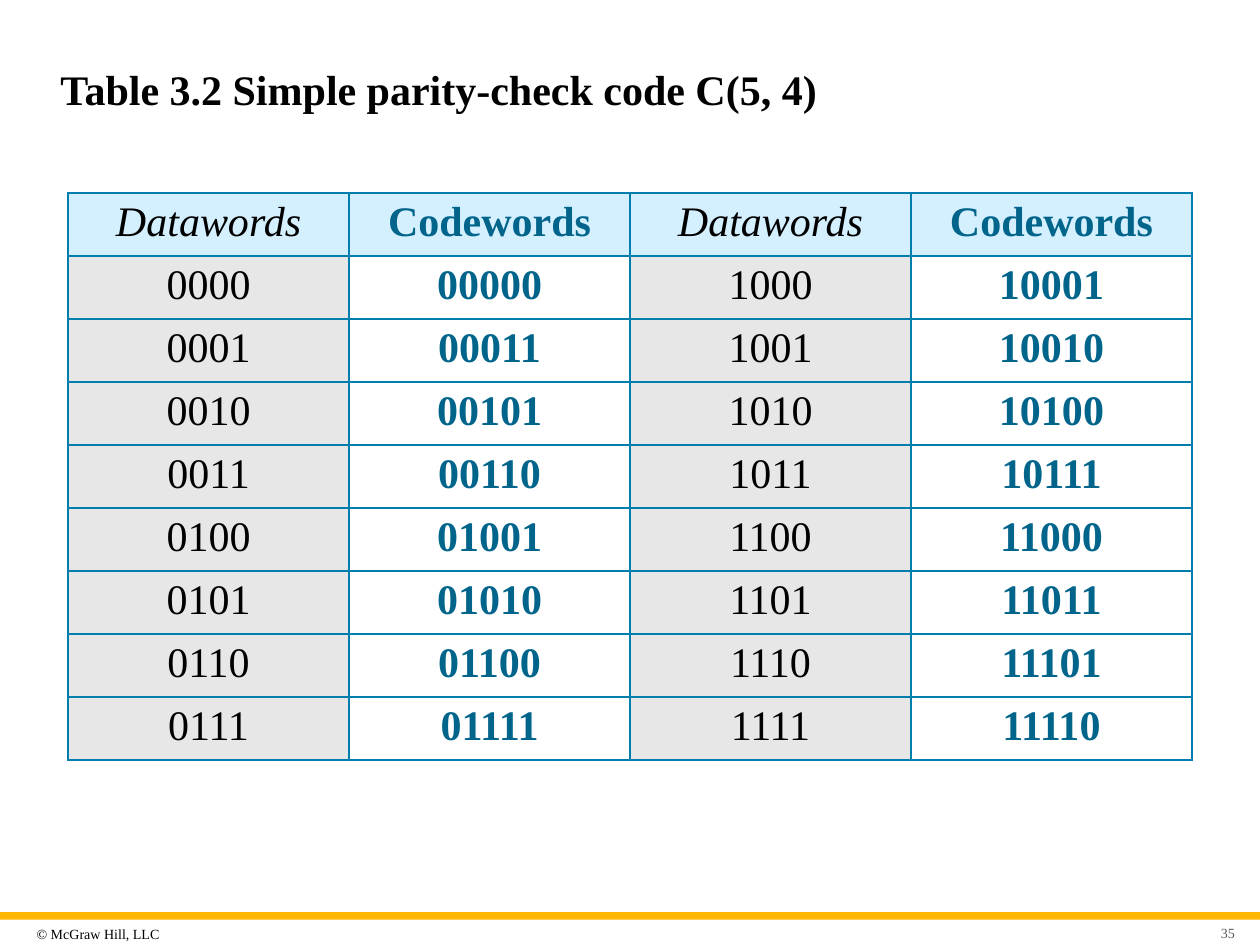
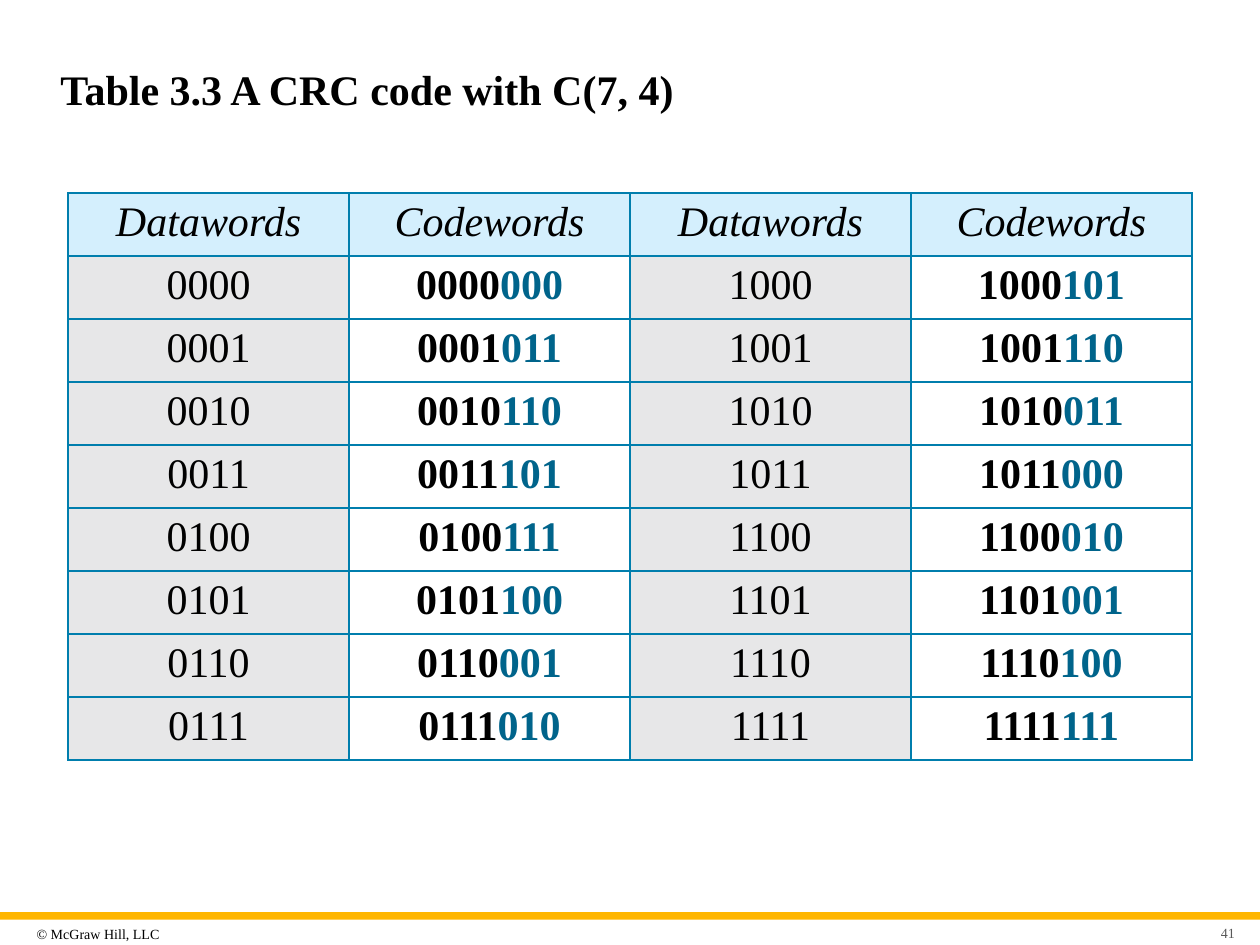
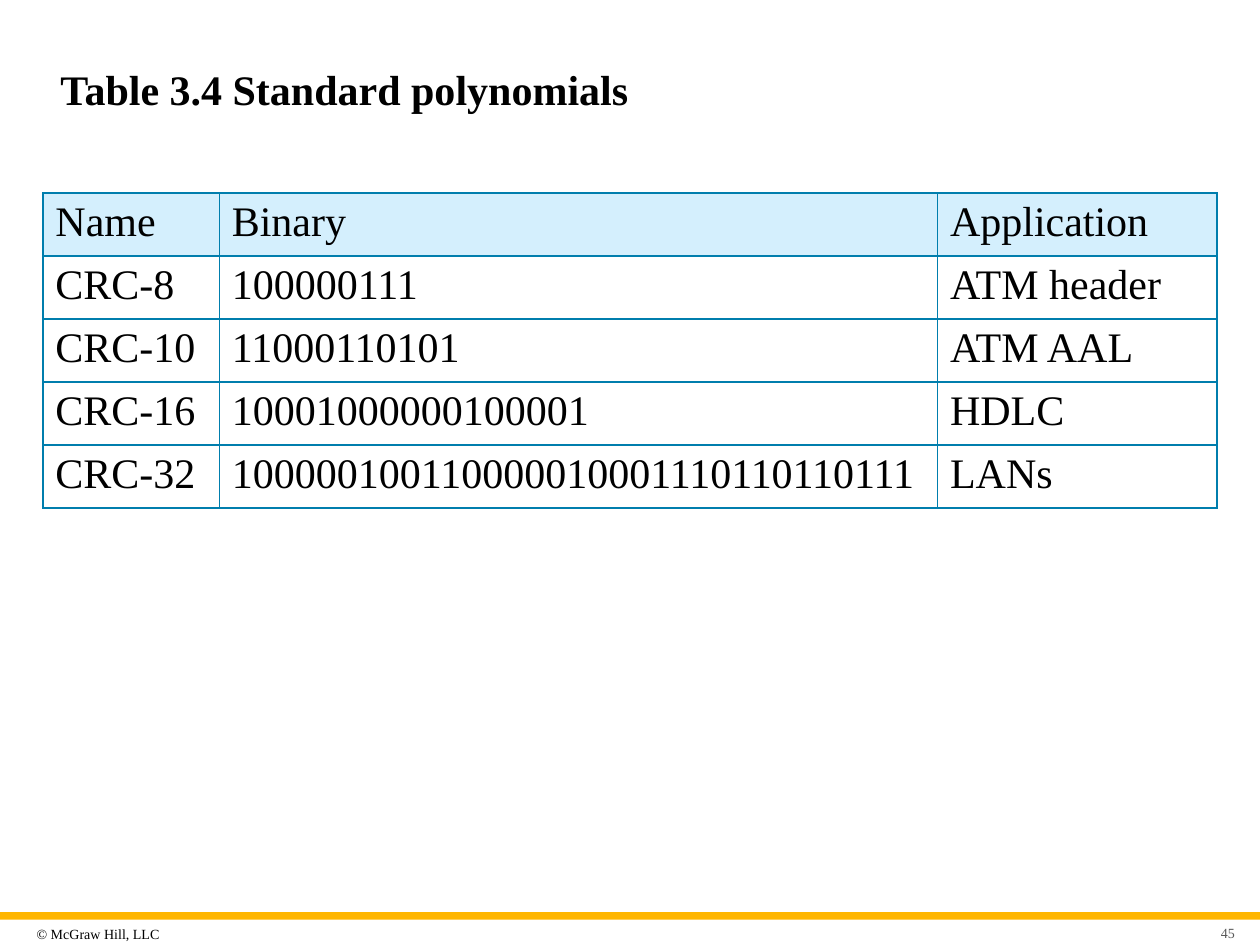
from dataclasses import dataclass

from lxml.etree import SubElement
from pptx import Presentation
from pptx.dml.color import RGBColor
from pptx.enum.shapes import MSO_SHAPE
from pptx.enum.text import MSO_ANCHOR, MSO_AUTO_SIZE, PP_ALIGN
from pptx.oxml import parse_xml
from pptx.oxml.ns import nsdecls, qn
from pptx.util import Inches, Pt


@dataclass(frozen=True)
class Theme:
    font: str = "Times New Roman"
    ink: str = "000000"
    accent: str = "00648B"
    band: str = "FFB600"
    page_number: str = "595959"
    border: str = "007EAD"
    header_fill: str = "D4EFFD"
    data_fill: str = "E7E7E8"
    body_size: int = 24
    footer_size: int = 8
    border_width: int = 1


@dataclass(frozen=True)
class Box:
    left: float
    top: float
    width: float
    height: float

    def lengths(self):
        return [Inches(value) for value in (self.left, self.top, self.width, self.height)]


@dataclass(frozen=True)
class Cell:
    colored_texts: tuple
    fill: str = ""
    bold: bool = False
    italic: bool = False
    alignment: PP_ALIGN = PP_ALIGN.CENTER


THEME = Theme()
TITLE_BOX = Box(0.38, 0.33, 9.25, 0.74)
FOOTER_BOX = Box(0, 7.24, 10, 0.26)
TABLE_TOP = 1.53
ROW_HEIGHT = 0.47
TITLE_ONLY_LAYOUT = 5
CRC_DIVISOR = 0b1011


def style_run(run, size, color, bold=False, italic=False):
    font = run.font
    font.name = THEME.font
    font.size = Pt(size)
    font.bold = bold
    font.italic = italic
    font.color.rgb = RGBColor.from_string(color)


def add_title(slide, text, box):
    title = slide.shapes.title
    title.left, title.top, title.width, title.height = box.lengths()
    text_frame = title.text_frame
    text_frame.text = text
    text_frame.auto_size = MSO_AUTO_SIZE.NONE
    text_frame.vertical_anchor = MSO_ANCHOR.MIDDLE
    paragraph = text_frame.paragraphs[0]
    paragraph.alignment = PP_ALIGN.LEFT
    style_run(paragraph.runs[0], THEME.body_size, THEME.ink, bold=True)


def add_footer_text(slide, text, box, color, alignment):
    text_frame = slide.shapes.add_textbox(*box.lengths()).text_frame
    text_frame.text = text
    text_frame.word_wrap = True
    text_frame.vertical_anchor = MSO_ANCHOR.MIDDLE
    text_frame.margin_left = text_frame.margin_right = Inches(0.05)
    text_frame.margin_top = text_frame.margin_bottom = Inches(0.05)
    paragraph = text_frame.paragraphs[0]
    paragraph.alignment = alignment
    style_run(paragraph.runs[0], THEME.footer_size, color)


def add_footer(slide, page_number, box):
    band_box = Box(box.left, box.top, box.width, 0.06)
    band = slide.shapes.add_shape(MSO_SHAPE.RECTANGLE, *band_box.lengths())
    band.shadow.inherit = False
    band.fill.solid()
    band.fill.fore_color.rgb = RGBColor.from_string(THEME.band)
    band.line.fill.background()
    copyright_box = Box(box.left + 0.24, box.top + 0.05, 1.35, 0.24)
    add_footer_text(slide, "© McGraw Hill, LLC", copyright_box, THEME.ink, PP_ALIGN.LEFT)
    number_box = Box(box.left + box.width - 0.54, box.top + 0.07, 0.39, 0.18)
    add_footer_text(slide, str(page_number), number_box, THEME.page_number, PP_ALIGN.RIGHT)


def add_borders(table_cell):
    properties = table_cell._tc.get_or_add_tcPr()
    for position, side in enumerate(("lnL", "lnR", "lnT", "lnB")):
        line = parse_xml(f'<a:{side} {nsdecls("a")} w="{Pt(THEME.border_width)}"/>')
        solid_fill = SubElement(line, qn("a:solidFill"))
        SubElement(solid_fill, qn("a:srgbClr"), val=THEME.border)
        properties.insert(position, line)


def fill_cell(table_cell, cell):
    if cell.fill:
        table_cell.fill.solid()
        table_cell.fill.fore_color.rgb = RGBColor.from_string(cell.fill)
    else:
        table_cell.fill.background()
    add_borders(table_cell)
    paragraph = table_cell.text_frame.paragraphs[0]
    paragraph.alignment = cell.alignment
    for text, color in cell.colored_texts:
        run = paragraph.add_run()
        run.text = text
        style_run(run, THEME.body_size, color, cell.bold, cell.italic)


def add_grid(slide, rows, column_widths, left):
    box = Box(left, TABLE_TOP, sum(column_widths), ROW_HEIGHT * len(rows))
    table = slide.shapes.add_table(len(rows), len(column_widths), *box.lengths()).table
    table.first_row = False
    table.horz_banding = False
    for column, width in zip(table.columns, column_widths):
        column.width = Inches(width)
    for table_row, cells in zip(table.rows, rows):
        table_row.height = Inches(ROW_HEIGHT)
        for table_cell, cell in zip(table_row.cells, cells):
            fill_cell(table_cell, cell)


def add_table_slide(presentation, title, page_number, rows, column_widths, left):
    slide = presentation.slides.add_slide(presentation.slide_layouts[TITLE_ONLY_LAYOUT])
    add_footer(slide, page_number, FOOTER_BOX)
    add_title(slide, title, TITLE_BOX)
    add_grid(slide, rows, column_widths, left)


def parity_codeword(dataword):
    parity = f"{dataword:b}".count("1") % 2
    return ((f"{dataword:04b}{parity}", THEME.accent),)


def crc_codeword(dataword):
    remainder = dataword << 3
    for shift in range(3, -1, -1):
        if remainder & (8 << shift):
            remainder ^= CRC_DIVISOR << shift
    return ((f"{dataword:04b}", THEME.ink), (f"{remainder:03b}", THEME.accent))


def code_rows(encode, codeword_heading):
    dataword_heading = Cell((("Datawords", THEME.ink),), THEME.header_fill, italic=True)
    rows = [[dataword_heading, codeword_heading] * 2]
    for first in range(8):
        row = []
        for dataword in (first, first + 8):
            row.append(Cell(((f"{dataword:04b}", THEME.ink),), THEME.data_fill))
            row.append(Cell(encode(dataword), bold=True))
        rows.append(row)
    return rows


def polynomial_rows():
    lines = [
        ("Name", "Binary", "Application"),
        ("CRC-8", "100000111", "ATM header"),
        ("CRC-10", "11000110101", "ATM AAL"),
        ("CRC-16", "10001000000100001", "HDLC"),
        ("CRC-32", "100000100110000010001110110110111", "LANs"),
    ]
    fills = [THEME.header_fill] + [""] * (len(lines) - 1)
    return [
        [Cell(((text, THEME.ink),), fill, alignment=PP_ALIGN.LEFT) for text in line]
        for line, fill in zip(lines, fills)
    ]


def main():
    presentation = Presentation()
    presentation.slide_width = Inches(10)
    presentation.slide_height = Inches(7.5)
    code_widths = [2.23] * 4
    parity_heading = Cell((("Codewords", THEME.accent),), THEME.header_fill, bold=True)
    crc_heading = Cell((("Codewords", THEME.ink),), THEME.header_fill, italic=True)
    add_table_slide(presentation, "Table 3.2 Simple parity-check code C(5, 4)", 35,
                    code_rows(parity_codeword, parity_heading), code_widths, 0.54)
    add_table_slide(presentation, "Table 3.3 A CRC code with C(7, 4)", 41,
                    code_rows(crc_codeword, crc_heading), code_widths, 0.54)
    add_table_slide(presentation, "Table 3.4 Standard polynomials", 45,
                    polynomial_rows(), [1.4, 5.7, 2.22], 0.34)
    presentation.save("out.pptx")


if __name__ == "__main__":
    main()
